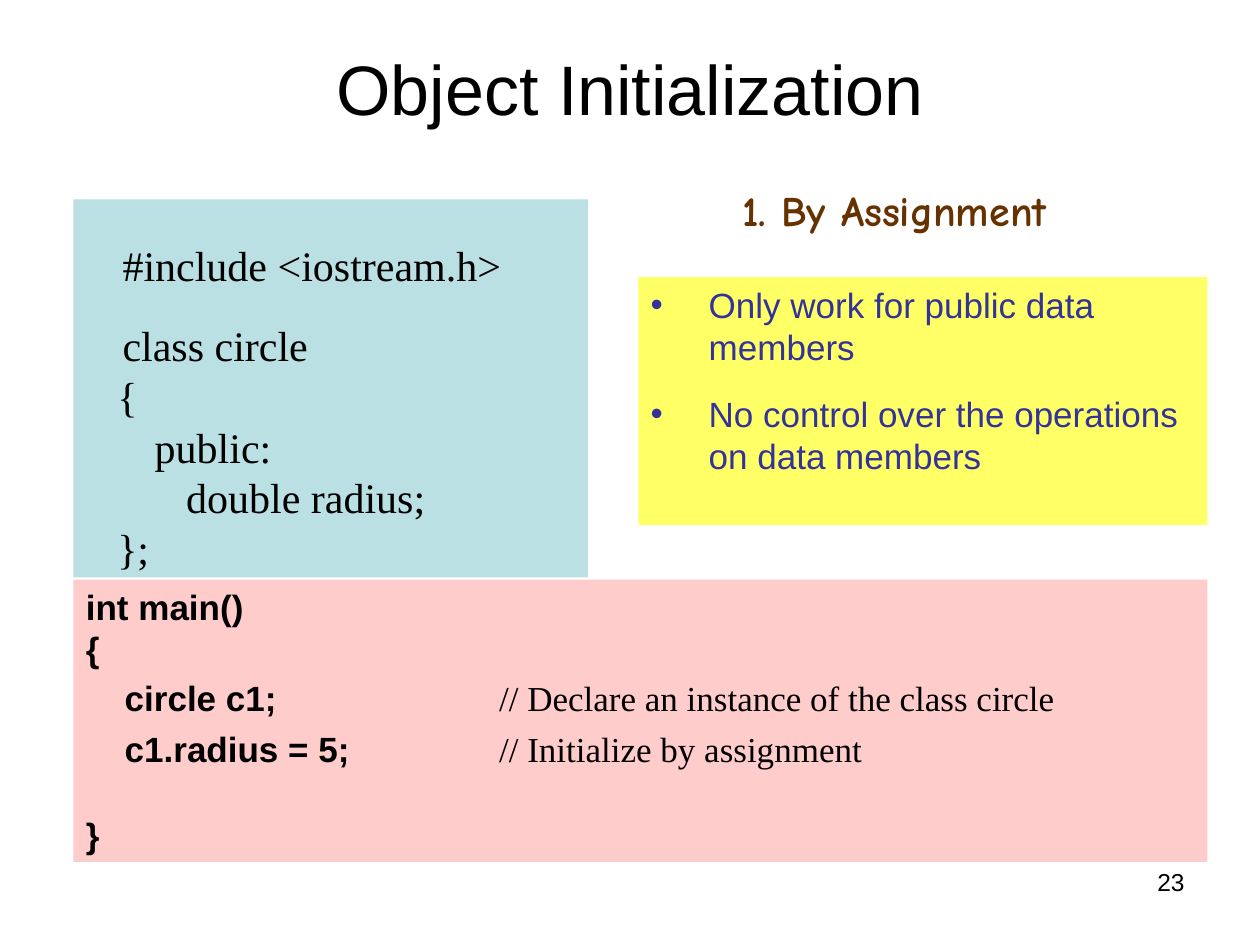
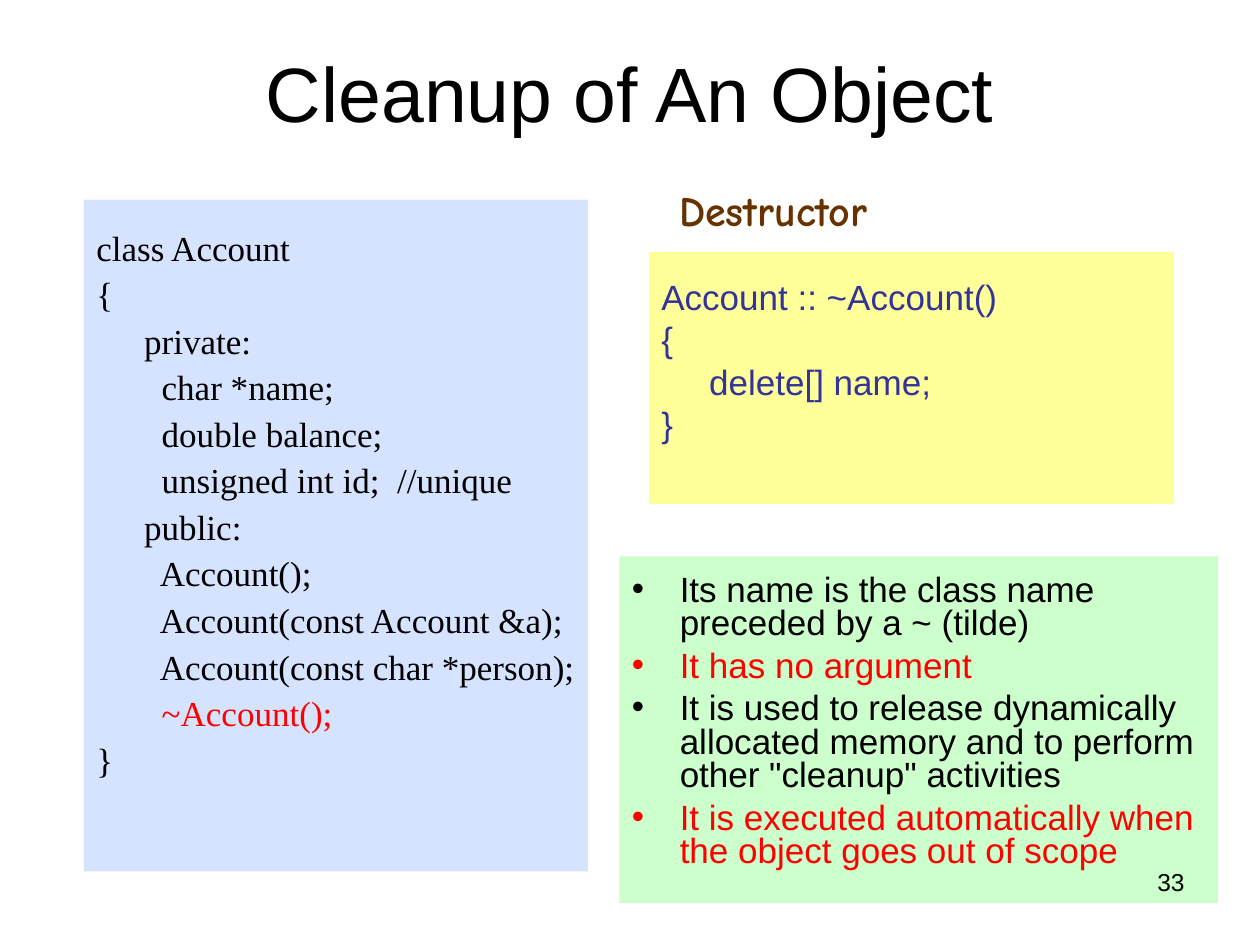
from dataclasses import dataclass, replace
from pptx import Presentation
from pptx import util as u
from pptx.dml.color import RGBColor
from pptx.enum import shapes, text
from pptx.oxml import xmlchemy

BLACK = RGBColor(0x00, 0x00, 0x00)
RED = RGBColor(0xFF, 0x00, 0x00)
INDIGO = RGBColor(0x33, 0x33, 0x99)
BROWN = RGBColor(0x66, 0x33, 0x00)
TEAL = RGBColor(0xBB, 0xE0, 0xE3)
PINK = RGBColor(0xFF, 0xCC, 0xCC)
YELLOW = RGBColor(0xFF, 0xFF, 0x66)
PALE_YELLOW = RGBColor(0xFF, 0xFF, 0x99)
PALE_BLUE = RGBColor(0xD5, 0xE3, 0xFF)
PALE_GREEN = RGBColor(0xCC, 0xFF, 0xCC)

WIDTH, HEIGHT = u.Inches(10), u.Inches(7.5)
COLUMNS, ROWS = 120, 90
CODE_TAB = 0.38


@dataclass(frozen=True)
class Style:
    font: str = "Arial"
    size: float = 20
    color: RGBColor = BLACK
    bold: bool = False


@dataclass
class Line:
    runs: list
    before: float = 0


SANS = Style()
SANS_BOLD = Style(bold=True)
SANS_INDIGO = Style(color=INDIGO)
SERIF = Style("Times New Roman")
SERIF_LARGE = replace(SERIF, size=24)
SERIF_WIDE = replace(SERIF, size=28)
HEADING = Style("Comic Neue", 24, BROWN, True)


def on_grid(column, row, columns, rows):
    return (int(WIDTH * column / COLUMNS), int(HEIGHT * row / ROWS),
            int(WIDTH * columns / COLUMNS), int(HEIGHT * rows / ROWS))


def code(style, *rows, gap=0):
    return [Line([(row, style)], gap if i else 0) for i, row in enumerate(rows)]


def set_tab(paragraph, inches):
    properties = paragraph._p.get_or_add_pPr()
    tabs = xmlchemy.OxmlElement("a:tabLst")
    stop = xmlchemy.OxmlElement("a:tab")
    stop.set("pos", str(u.Inches(inches)))
    stop.set("algn", "l")
    tabs.append(stop)
    properties.append(tabs)


def set_bullet(paragraph, hang, color):
    properties = paragraph._p.get_or_add_pPr()
    properties.set("marL", str(u.Inches(hang)))
    properties.set("indent", str(-u.Inches(hang)))
    tint = xmlchemy.OxmlElement("a:buClr")
    rgb = xmlchemy.OxmlElement("a:srgbClr")
    rgb.set("val", str(color))
    tint.append(rgb)
    face = xmlchemy.OxmlElement("a:buFont")
    face.set("typeface", "Arial")
    mark = xmlchemy.OxmlElement("a:buChar")
    mark.set("char", "•")
    properties.extend([tint, face, mark])


def write(frame, lines, align=text.PP_ALIGN.LEFT, spacing=None, tab=None, hang=None):
    for i, line in enumerate(lines):
        paragraph = frame.paragraphs[0] if i == 0 else frame.add_paragraph()
        paragraph.alignment = align
        if spacing:
            paragraph.line_spacing = spacing
        if line.before:
            paragraph.space_before = u.Pt(line.before)
        if hang:
            set_bullet(paragraph, hang, line.runs[0][1].color)
        if tab:
            set_tab(paragraph, tab)
        for words, style in line.runs:
            run = paragraph.add_run()
            run.text = words
            run.font.name = style.font
            run.font.size = u.Pt(style.size)
            run.font.bold = style.bold
            run.font.color.rgb = style.color


def label(slide, box, words, style, align=text.PP_ALIGN.LEFT,
          anchor=text.MSO_ANCHOR.TOP):
    frame = slide.shapes.add_textbox(*box).text_frame
    frame.word_wrap = True
    frame.vertical_anchor = anchor
    write(frame, [Line([(words, style)])], align)


def panel(slide, box, fill, lines, top=0.05, **layout):
    area = slide.shapes.add_shape(shapes.MSO_SHAPE.RECTANGLE, *box)
    area.shadow.inherit = False
    area.fill.solid()
    area.fill.fore_color.rgb = fill
    area.line.fill.background()
    frame = area.text_frame
    frame.word_wrap = True
    frame.vertical_anchor = text.MSO_ANCHOR.TOP
    frame.margin_top = u.Inches(top)
    write(frame, lines, **layout)


def topic_slide(deck, title, title_size, title_row, heading, heading_column):
    slide = deck.slides.add_slide(deck.slide_layouts[6])
    label(slide, on_grid(6, title_row, 108, 9.4), title, Style(size=title_size),
          text.PP_ALIGN.CENTER, text.MSO_ANCHOR.MIDDLE)
    label(slide, on_grid(heading_column, 17, 40, 6), heading, HEADING)
    return slide


def page_number(slide, number):
    label(slide, on_grid(86, 82, 28, 6.2), number, Style(size=14),
          text.PP_ALIGN.RIGHT)


def initialization_slide(deck):
    slide = topic_slide(deck, "Object Initialization", 40, 3.6,
                        "1. By Assignment", 69.5)
    circle_class = [
        Line([("   ", SERIF_WIDE), ("#include <iostream.h>", SERIF_LARGE)]),
        Line([("   ", SERIF_WIDE), ("class circle", SERIF_LARGE)], 12),
        *code(SERIF_LARGE, "   {", "\t  public:", "\t     double radius;", "   };"),
    ]
    panel(slide, on_grid(7, 19, 49, 36), TEAL, circle_class, top=0.26, tab=CODE_TAB)

    main_function = [
        *code(SANS_BOLD, "int main()", "{"),
        Line([("    circle c1;\t", SANS_BOLD),
              ("// Declare an instance of the class circle", SERIF)], 4),
        Line([("    c1.radius = 5;\t", SANS_BOLD),
              ("// Initialize by assignment", SERIF)], 5),
        Line([("}", SANS_BOLD)], 25),
    ]
    panel(slide, on_grid(7, 55.2, 108, 26.9), PINK, main_function, tab=3.28)

    limits = code(SANS_INDIGO, "Only work for public data members",
                  "No control over the operations on data members", gap=14.4)
    panel(slide, on_grid(60.8, 26.4, 54.2, 23.6), YELLOW, limits, hang=0.46)
    page_number(slide, "23")


def cleanup_slide(deck):
    slide = topic_slide(deck, "Cleanup of An Object", 44, 4, "Destructor", 63.5)
    account_class = code(
        SERIF, "class Account", "{", "\tprivate:", "\t  char *name;",
        "\t  double balance;", "\t  unsigned int id;  //unique", "\tpublic:",
        "\t  Account();", "\t  Account(const Account &a);",
        "\t  Account(const char *person);", "\t  ~Account();", "}", gap=5)
    account_class[-2].runs = [("\t  ", SERIF), ("~Account();", replace(SERIF, color=RED))]
    panel(slide, on_grid(8, 19, 48, 64), PALE_BLUE, account_class,
          top=0.25, spacing=0.9, tab=CODE_TAB)

    destructor = code(SANS_INDIGO, "Account :: ~Account()", "{",
                      "\tdelete[] name;", "}", gap=5)
    panel(slide, on_grid(61.8, 24, 50, 24), PALE_YELLOW, destructor,
          top=0.25, spacing=0.8, tab=CODE_TAB)

    facts = code(SANS, "Its name is the class name preceded by a ~ (tilde)",
                 "It has no argument",
                 "It is used to release dynamically allocated memory and to perform "
                 "other \"cleanup\" activities",
                 "It is executed automatically when the object goes out of scope", gap=5)
    for fact in facts[1::2]:
        fact.runs = [(words, replace(SANS, color=RED)) for words, _ in fact.runs]
    panel(slide, on_grid(59, 53, 57, 33), PALE_GREEN, facts,
          top=0.15, spacing=0.8, hang=CODE_TAB)
    page_number(slide, "33")


def main():
    deck = Presentation()
    deck.slide_width, deck.slide_height = WIDTH, HEIGHT
    initialization_slide(deck)
    cleanup_slide(deck)
    deck.save("out.pptx")


if __name__ == "__main__":
    main()
